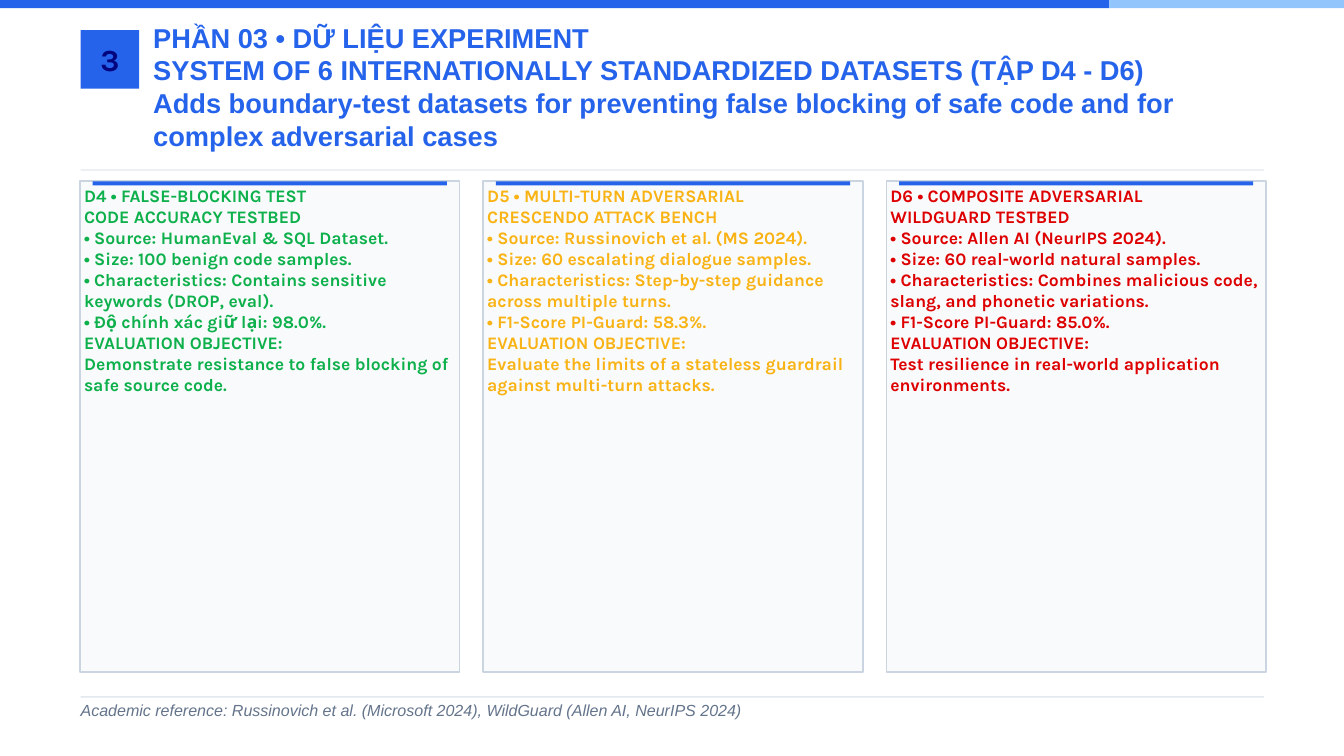
import pptx
import pptx.dml.color
import pptx.enum.shapes
import pptx.enum.text
import pptx.util

Inches = pptx.util.Inches
Pt = pptx.util.Pt
RGBColor = pptx.dml.color.RGBColor
Align = pptx.enum.text.PP_ALIGN
Anchor = pptx.enum.text.MSO_ANCHOR

BLUE = RGBColor(0x25, 0x63, 0xEB)
SKY = RGBColor(0x93, 0xC5, 0xFD)
NAVY = RGBColor(0x02, 0x05, 0x7E)
RULE = RGBColor(0xE2, 0xE8, 0xF0)
PANEL = RGBColor(0xF8, 0xFA, 0xFC)
BORDER = RGBColor(0xCB, 0xD5, 0xE1)
SLATE = RGBColor(0x64, 0x74, 0x8B)
GREEN = RGBColor(0x0D, 0xB0, 0x4B)
AMBER = RGBColor(0xF9, 0xB3, 0x14)
RED = RGBColor(0xDE, 0x00, 0x00)

LEFT, WIDTH = 1.2, 17.61
CARD_LEFT, CARD_TOP, CARD_PITCH = 1.19, 2.69, 6.0
CARD_WIDTH, CARD_HEIGHT = 5.65, 7.31

TITLE = [
    "PHẦN 03 • DỮ LIỆU EXPERIMENT",
    "SYSTEM OF 6 INTERNATIONALLY STANDARDIZED DATASETS (TẬP D4 - D6)",
    "Adds boundary-test datasets for preventing false blocking of safe code "
    "and for complex adversarial cases",
]
GOAL = "EVALUATION OBJECTIVE:"
CARDS = [
    (GREEN, [
        "D4 • FALSE-BLOCKING TEST",
        "CODE ACCURACY TESTBED",
        "• Source: HumanEval & SQL Dataset.",
        "• Size: 100 benign code samples.",
        "• Characteristics: Contains sensitive keywords (DROP, eval).",
        "• Độ chính xác giữ lại: 98.0%.",
        GOAL,
        "Demonstrate resistance to false blocking of safe source code.",
    ]),
    (AMBER, [
        "D5 • MULTI-TURN ADVERSARIAL",
        "CRESCENDO ATTACK BENCH",
        "• Source: Russinovich et al. (MS 2024).",
        "• Size: 60 escalating dialogue samples.",
        "• Characteristics: Step-by-step guidance across multiple turns.",
        "• F1-Score PI-Guard: 58.3%.",
        GOAL,
        "Evaluate the limits of a stateless guardrail against multi-turn attacks.",
    ]),
    (RED, [
        "D6 • COMPOSITE ADVERSARIAL",
        "WILDGUARD TESTBED",
        "• Source: Allen AI (NeurIPS 2024).",
        "• Size: 60 real-world natural samples.",
        "• Characteristics: Combines malicious code, slang, and phonetic variations.",
        "• F1-Score PI-Guard: 85.0%.",
        GOAL,
        "Test resilience in real-world application environments.",
    ]),
]
SOURCE = ("Academic reference: Russinovich et al. (Microsoft 2024), "
          "WildGuard (Allen AI, NeurIPS 2024)")


def write(frame, lines, size, color, lead, font="Karla", bold=True,
          italic=False, align=Align.LEFT, anchor=Anchor.TOP, inset=0.06):
    """Fill a text frame with one paragraph per line."""
    frame.word_wrap = True
    frame.auto_size = pptx.enum.text.MSO_AUTO_SIZE.NONE
    frame.vertical_anchor = anchor
    frame.margin_left = frame.margin_right = Inches(inset)
    frame.margin_top = frame.margin_bottom = Inches(inset)
    for i, line in enumerate(lines):
        para = frame.paragraphs[0] if i == 0 else frame.add_paragraph()
        para.alignment = align
        para.line_spacing = Pt(lead)
        para.space_before = para.space_after = Pt(0)
        run = para.add_run()
        run.text = line
        run.font.name = font
        run.font.size = Pt(size)
        run.font.bold = bold
        run.font.italic = italic
        run.font.color.rgb = color


class Deck:
    """Holds the slide and draws each kind of element on it."""

    def __init__(self, file):
        self.font = "Arial"
        # Layout 5 is title only
        self.slide = file.slides.add_slide(file.slide_layouts[5])

    def title(self, lines, x, y, w, h):
        shape = self.slide.shapes.title
        shape.left, shape.top = Inches(x), Inches(y)
        shape.width, shape.height = Inches(w), Inches(h)
        write(shape.text_frame, lines, 29.2, BLUE, 35.1,
              font=self.font, inset=0)

    def box(self, x, y, w, h, fill, line=None):
        shape = self.slide.shapes.add_shape(
            pptx.enum.shapes.MSO_SHAPE.RECTANGLE,
            Inches(x), Inches(y), Inches(w), Inches(h))
        shape.shadow.inherit = False
        shape.fill.solid()
        shape.fill.fore_color.rgb = fill
        if line is None:
            shape.line.fill.background()
        else:
            shape.line.color.rgb = line
            shape.line.width = Pt(1.8)
        return shape

    def badge(self, text, x, y, side):
        shape = self.box(x, y, side, side, BLUE)
        write(shape.text_frame, [text], 33, NAVY, 39.6,
              align=Align.CENTER, anchor=Anchor.MIDDLE)

    def rule(self, y):
        self.box(LEFT, y, WIDTH, 0.02, RULE)

    def card(self, x, color, lines):
        shape = self.box(x, CARD_TOP, CARD_WIDTH, CARD_HEIGHT, PANEL, BORDER)
        write(shape.text_frame, lines, 18.8, color, 22.5)
        self.box(x + 0.19, CARD_TOP + 0.01, CARD_WIDTH - 0.38, 0.06, BLUE)

    def note(self, text, x, y, w, h):
        shape = self.slide.shapes.add_textbox(
            Inches(x), Inches(y), Inches(w), Inches(h))
        write(shape.text_frame, [text], 17.2, SLATE, 20.7,
              font=self.font, bold=False, italic=True, inset=0)


def main():
    file = pptx.Presentation()
    file.slide_width, file.slide_height = Inches(20), Inches(11.25)
    deck = Deck(file)

    # Top band
    deck.box(0, 0, 16.51, 0.12, BLUE)
    deck.box(16.51, 0, 3.49, 0.12, SKY)

    # Header
    deck.badge("3", LEFT, 0.45, 0.87)
    deck.title(TITLE, 2.28, 0.31, 16.53, 1.94)
    deck.rule(2.52)

    # Dataset cards
    for i, (color, lines) in enumerate(CARDS):
        deck.card(CARD_LEFT + i * CARD_PITCH, color, lines)

    # Footer
    deck.rule(10.36)
    deck.note(SOURCE, LEFT, 10.43, 15.46, 0.3)

    file.save("out.pptx")


if __name__ == "__main__":
    main()
